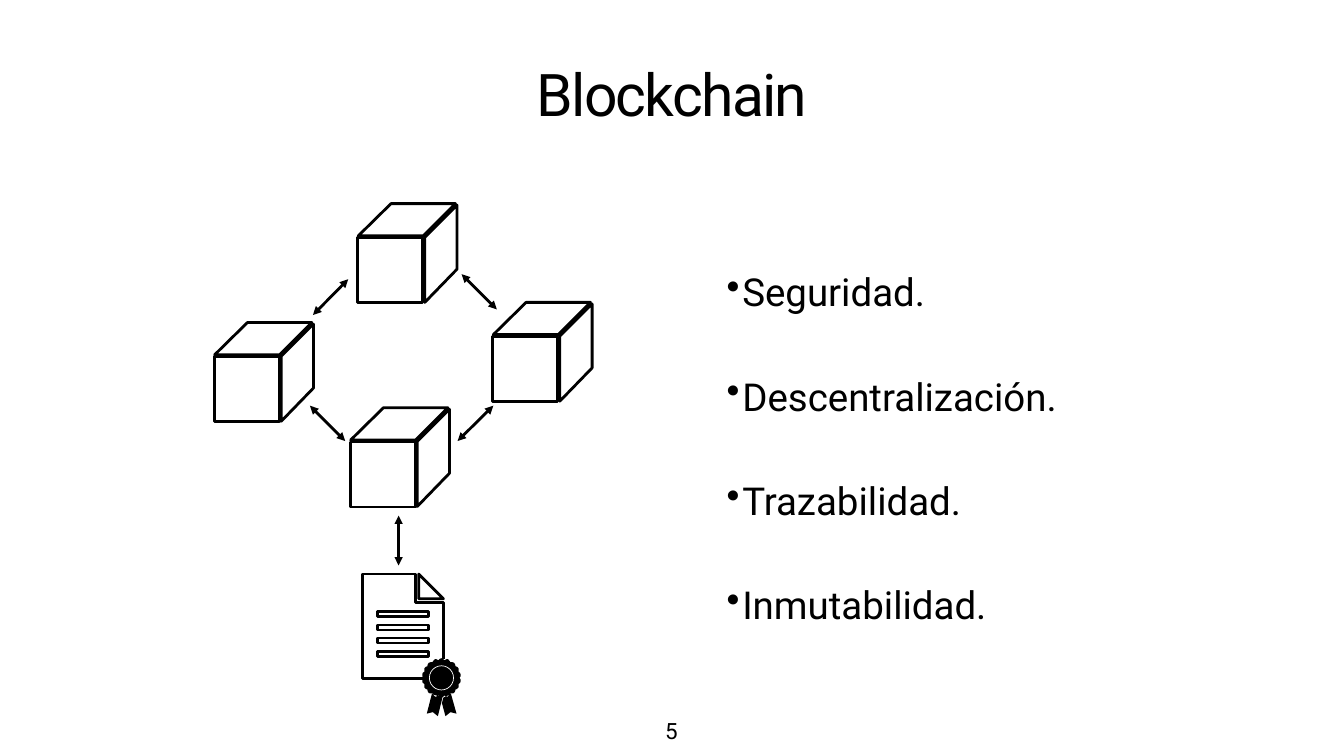
from math import cos, radians, sin

from lxml.etree import SubElement
from pptx import Presentation
from pptx.dml.color import RGBColor
from pptx.enum.shapes import MSO_CONNECTOR as Link, MSO_SHAPE as Kind
from pptx.enum.text import MSO_ANCHOR as Anchor, MSO_AUTO_SIZE as Fit, PP_ALIGN as Align
from pptx.oxml.ns import qn
from pptx.util import Inches, Pt

BLACK = RGBColor(0, 0, 0)
WHITE = RGBColor(255, 255, 255)
FONT = "Roboto"
PAD = Inches(0.06)
FRAME = {"margin_left": PAD, "margin_right": PAD, "margin_top": PAD,
         "margin_bottom": PAD, "word_wrap": True}
GRID = 100

CUBE = [
    [(0.66, 0), (0.01, 0.64), (1.3, 0.64), (1.94, 0)],
    [(1.97, 0.03), (1.33, 0.67), (1.33, 1.96), (1.97, 1.3)],
    [(0, 0.68), (0, 1.97), (1.29, 1.97), (1.29, 0.68)],
]
CUBES = [(7.1, 4.04), (4.25, 6.4), (9.78, 6), (6.95, 8.09)]
ARROWS = [
    (6.21, 6.25, 6.91, 5.54), (9.08, 8.75, 9.79, 8.05), (9.16, 5.44, 9.86, 6.14),
    (6.15, 8.05, 6.85, 8.75), (7.91, 11.22, 7.91, 10.23),
]
PAGE = [
    [(0, 0), (0, 2.07), (1.6, 2.07), (1.6, 0.56), (1.04, 0.56), (1.04, 0)],
    [(1.11, 0), (1.11, 0.49), (1.6, 0.49)],
]
RIBBONS = [
    [(0.19, 0.32), (0.04, 0.39), (0.01, 0.5), (0.08, 0.76), (0.18, 0.68), (0.3, 0.71)],
    [(-0.19, 0.32), (-0.29, 0.71), (-0.17, 0.68), (-0.07, 0.76), (0.02, 0.39)],
]
TRAITS = ["Seguridad.", "Descentralización.", "Trazabilidad.", "Inmutabilidad."]


def put(item, vals):
    """Set each named value on the item."""
    for key, val in vals.items():
        setattr(item, key, val)


def bar(x, y, w, h):
    """Return the corners of a box."""
    return [(x, y), (x + w, y), (x + w, y + h), (x, y + h)]


def seal(bumps=18):
    """Return the outline of a scalloped disc around the origin."""
    step = 360 / bumps
    turns = [(r, radians(n * step + a)) for n in range(bumps)
             for r, a in ((0.36, -step / 2), (0.38, -step / 4), (0.39, 0), (0.38, step / 4))]
    return [(r * sin(a), -r * cos(a)) for r, a in turns]


class Deck:
    """Hold the style and the current slide."""

    def __init__(self, wide, high):
        """Start a deck with one title-only slide."""
        self.deck = Presentation()
        put(self.deck, {"slide_width": Inches(wide), "slide_height": Inches(high)})
        self.slide = self.deck.slides.add_slide(self.deck.slide_layouts[5])
        self.shapes = self.slide.shapes

    def style(self, shape, text, size, frame, para):
        """Fill a shape with one styled paragraph and return it with its run."""
        put(shape.text_frame, FRAME | frame)
        line = shape.text_frame.paragraphs[0]
        put(line, para)
        run = line.add_run()
        run.text = text
        put(run.font, {"name": FONT, "size": Pt(size), "bold": False})
        run.font.color.rgb = BLACK
        return line, run

    def title(self, text, x, y, w, h):
        """Place the title."""
        shape = self.shapes.title
        put(shape, {"left": Inches(x), "top": Inches(y),
                    "width": Inches(w), "height": Inches(h)})
        frame = {"vertical_anchor": Anchor.BOTTOM, "auto_size": Fit.NONE}
        para = {"alignment": Align.CENTER, "line_spacing": 0.8}
        run = self.style(shape, text, 84, frame, para)[1]
        run.font._element.set("spc", "-250")

    def label(self, text, x, y, w, h, size, frame, para):
        """Add a text box that grows with its text."""
        box = self.shapes.add_textbox(*map(Inches, (x, y, w, h)))
        return self.style(box, text, size, frame | {"auto_size": Fit.SHAPE_TO_FIT_TEXT}, para)[0]

    def point(self, text, x, y):
        """Add a bulleted line."""
        line = self.label(text, x, y, 12, 1.13, 55,
                          {"vertical_anchor": Anchor.MIDDLE}, {"line_spacing": 2.5})
        props = line._p.get_or_add_pPr()
        props.set("marL", str(Inches(0.31)))
        props.set("indent", str(-Inches(0.31)))
        tint = SubElement(props, qn("a:buClr"))
        SubElement(tint, qn("a:srgbClr"), val=str(BLACK))
        SubElement(props, qn("a:buChar"), char="•")

    def paint(self, shape, fill, edge=None, width=4):
        """Give a shape its fill and outline."""
        shape.shadow.inherit = False
        shape.fill.solid()
        shape.fill.fore_color.rgb = fill
        if edge is None:
            shape.line.fill.background()
            return
        shape.line.color.rgb = edge
        shape.line.width = Pt(width)
        SubElement(shape.line._get_or_add_ln(), qn("a:round"))

    def draw(self, paths, x, y, fill, edge=None):
        """Draw closed outlines as one freeform."""
        grid = [[((x + a) * GRID, (y + b) * GRID) for a, b in path] for path in paths]
        pen = self.shapes.build_freeform(*grid[0][0], scale=Inches(1) / GRID)
        pen.add_line_segments(grid[0][1:])
        for path in grid[1:]:
            pen.move_to(*path[0])
            pen.add_line_segments(path[1:])
        self.paint(pen.convert_to_shape(), fill, edge)

    def shape(self, kind, x, y, w, h, fill, edge=None, width=4):
        """Add a preset shape."""
        item = self.shapes.add_shape(kind, *map(Inches, (x, y, w, h)))
        self.paint(item, fill, edge, width)

    def arrow(self, *ends):
        """Add a line with a head at both ends."""
        item = self.shapes.add_connector(Link.STRAIGHT, *map(Inches, ends))
        item.line.color.rgb = BLACK
        item.line.width = Pt(4)
        for tag in ("a:headEnd", "a:tailEnd"):
            SubElement(item.line._get_or_add_ln(), qn(tag), type="triangle")
        SubElement(item._element.spPr, qn("a:effectLst"))


def main():
    """Build the slide and save it."""
    deck = Deck(26.67, 15)
    deck.title("Blockchain", 1.39, 0.89, 23.89, 1.7)
    for x, y in CUBES:
        deck.draw(CUBE, x, y, WHITE, BLACK)
    for ends in ARROWS:
        deck.arrow(*ends)

    rows = [bar(0.29, 0.75 + 0.26 * n, 1.02, 0.1) for n in range(4)]
    deck.draw(PAGE + rows, 7.2, 11.39, WHITE, BLACK)
    deck.shape(Kind.RECTANGLE, 8.41, 13.08, 1.39, 1.39, WHITE)
    deck.draw([seal()] + RIBBONS, 8.76, 13.45, BLACK)
    deck.shape(Kind.OVAL, 8.52, 13.21, 0.48, 0.48, BLACK, WHITE, 1)

    for n, text in enumerate(TRAITS):
        deck.point(text, 14.36, 4.53 + 2.07 * n)
    deck.label("5", 13.13, 14.13, 0.39, 0.69, 32,
               {"vertical_anchor": Anchor.BOTTOM, "word_wrap": False},
               {"alignment": Align.CENTER})
    deck.deck.save("out.pptx")


if __name__ == "__main__":
    main()
